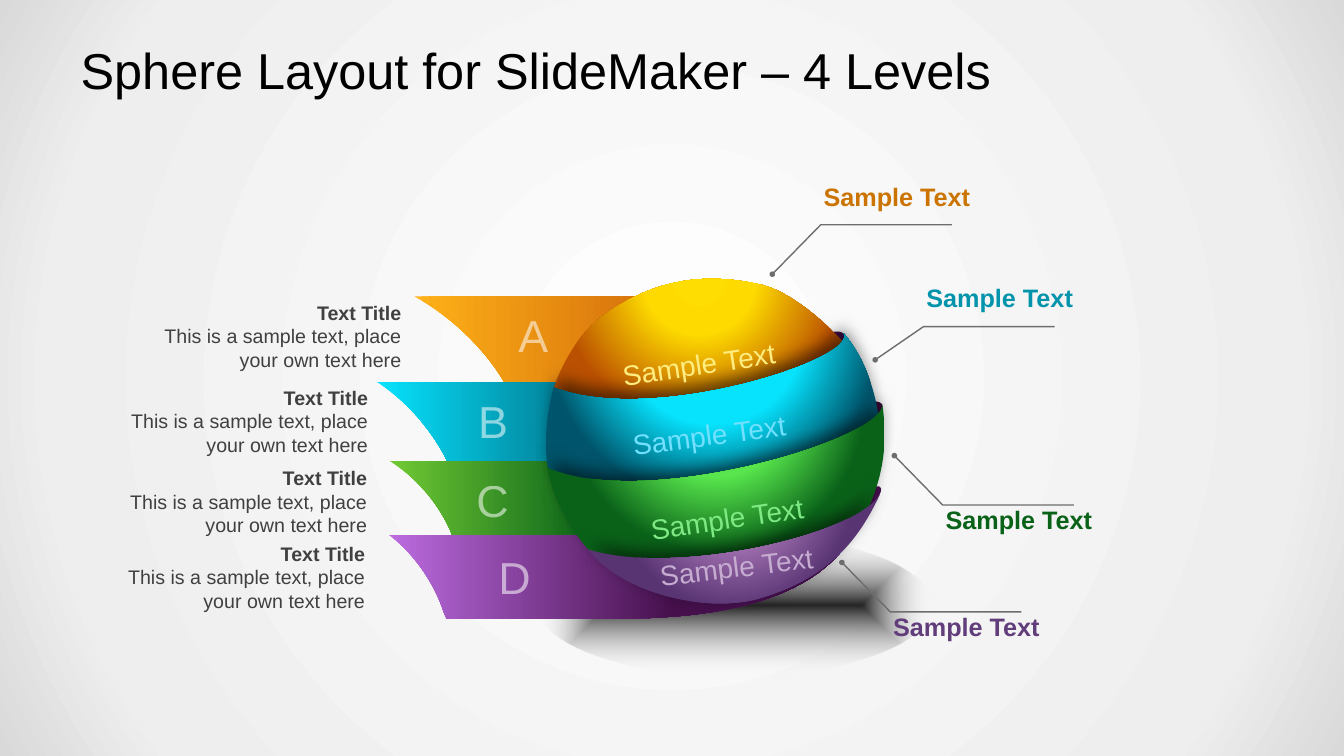
import pptx
import pptx.util
from lxml import etree
from pptx.dml.color import RGBColor
from pptx.enum.shapes import MSO_SHAPE
from pptx.enum.text import MSO_ANCHOR, MSO_AUTO_SIZE, PP_ALIGN
from pptx.oxml.ns import qn
from pptx.util import Inches

# Colours
WHITE, BLACK = RGBColor(0xFF, 0xFF, 0xFF), RGBColor(0, 0, 0)
PALE_GRAY, MID_GRAY = RGBColor(0xEE, 0xEE, 0xEE), RGBColor(0xD9, 0xD9, 0xD9)
SHADE, BODY = RGBColor(0x26, 0x26, 0x26), RGBColor(0x40, 0x40, 0x40)
RULE = RGBColor(0x6D, 0x6D, 0x6D)
AMBER, RUST = RGBColor(0xFE, 0xB1, 0x18), RGBColor(0xD6, 0x71, 0x0C)
CYAN, TEAL = RGBColor(0x07, 0xE3, 0xFD), RGBColor(0x02, 0x84, 0x9C)
LIME, FOREST = RGBColor(0x71, 0xCA, 0x34), RGBColor(0x0A, 0x62, 0x19)
ORCHID, PLUM = RGBColor(0xBB, 0x6B, 0xDF), RGBColor(0x45, 0x10, 0x4C)
YELLOW, GOLD = RGBColor(0xFE, 0xDD, 0x03), RGBColor(0xFE, 0xDA, 0x00)
BROWN, DEEP_TEAL = RGBColor(0xBA, 0x50, 0x01), RGBColor(0x00, 0x54, 0x6B)
BRIGHT_GREEN = RGBColor(0x58, 0xE5, 0x4D)
LILAC, VIOLET = RGBColor(0xDC, 0xA0, 0xE3), RGBColor(0x58, 0x34, 0x72)
FOLD_LOW, FOLD_MIDDLE = RGBColor(0x47, 0x10, 0x4F), RGBColor(0x3D, 0x08, 0x38)
FOLD_HIGH = RGBColor(0x42, 0x0C, 0x47)
ORANGE_TEXT, BLUE_TEXT = RGBColor(0xCB, 0x74, 0x01), RGBColor(0x03, 0x94, 0xAC)
PURPLE_TEXT = RGBColor(0x62, 0x3D, 0x7B)
PALE_YELLOW, PALE_BLUE = RGBColor(0xFF, 0xED, 0x81), RGBColor(0x71, 0xE1, 0xFF)
PALE_GREEN, PALE_PURPLE = RGBColor(0x7F, 0xE9, 0x84), RGBColor(0xC5, 0xAC, 0xD0)

# Content
TITLE = "Sphere Layout for SlideMaker – 4 Levels"
LABEL = "Sample Text"
DESCRIPTION = ["Text Title", "This is a sample text, place your own text here"]

# Letter with its left, top and width, then description left and top
LEVELS = [("A", (5.04, 3, 0.5), (1.13, 2.93)), ("B", (4.64, 3.85, 0.5), (0.8, 3.77)),
          ("C", (4.62, 4.64, 0.53), (0.79, 4.57)), ("D", (4.84, 5.4, 0.53), (0.77, 5.32))]

# Outlines: points in inches; two numbers make a line, six a Bézier curve
FLAGS = [
    ([(4.11, 2.94), (6.47, 2.94), (6.17, 4), (5.11, 4), (5.07, 3.92),
      (4.92, 3.6, 4.58, 3.2, 4.11, 2.94)], [(0, AMBER), (100, RUST)]),
    ([(3.74, 3.79), (5.54, 3.79), (5.46, 4.73), (4.5, 4.73), (4.47, 4.65),
      (4.35, 4.37, 4.1, 4.02, 3.74, 3.79)], [(0, CYAN), (100, TEAL)]),
    ([(3.86, 4.57), (5.89, 4.57), (5.89, 5.33), (4.49, 5.33), (4.47, 5.27),
      (4.37, 5.04, 4.16, 4.75, 3.86, 4.57)], [(0, LIME), (100, FOREST)]),
    ([(3.86, 5.31), (5.99, 5.31), (7.12, 5.18, 8.05, 5.19, 8.51, 5.21),
      (8.09, 6.12, 6.67, 6.14, 5.99, 6.14), (4.43, 6.14), (4.4, 6.07),
      (4.32, 5.82, 4.13, 5.51, 3.86, 5.31)], [(0, ORCHID), (61, PLUM)]),
]
FOLDS = [
    ([(8.63, 4.84), (8.61, 4.87, 8.6, 5.07, 8.61, 5.07),
      (8.73, 4.93, 8.82, 4.77, 8.63, 4.84)], FOLD_LOW),
    ([(8.62, 3.98), (8.61, 4.01, 8.66, 4.16, 8.67, 4.17),
      (8.77, 4.06, 8.81, 3.97, 8.62, 3.98)], FOLD_MIDDLE),
    ([(8.22, 3.3), (8.21, 3.33, 8.3, 3.48, 8.32, 3.48),
      (8.41, 3.33, 8.4, 3.26, 8.22, 3.3)], FOLD_HIGH),
]
# Outline, gradient stops, shadow distance in points
BANDS = [
    ([(5.97, 3.14), (6.51, 2.75, 7.02, 2.7, 7.57, 2.83), (7.87, 2.91, 8.23, 3.24, 8.39, 3.42),
      (7.62, 3.89, 6.21, 4.21, 5.49, 3.86), (5.53, 3.72, 5.69, 3.35, 5.97, 3.14)],
     [(0, YELLOW), (35, GOLD), (90, BROWN)], None),
    ([(8.37, 3.31), (8.59, 3.57, 8.68, 3.89, 8.72, 4.16), (8.04, 4.61, 6.57, 5.07, 5.44, 4.68),
      (5.39, 4.41, 5.42, 4.13, 5.49, 3.84), (6.44, 4.23, 8.5, 3.57, 8.37, 3.31)],
     [(0, CYAN), (49, CYAN), (91, DEEP_TEAL)], 6),
    ([(5.43, 4.64), (6.42, 5.07, 8.78, 4.35, 8.75, 4.01), (8.83, 4.53, 8.69, 4.88, 8.58, 5.11),
      (7.91, 5.47, 6.71, 5.75, 5.84, 5.46), (5.73, 5.33, 5.49, 5.02, 5.43, 4.64)],
     [(0, BRIGHT_GREEN), (39, BRIGHT_GREEN), (80, FOREST)], 5),
    ([(5.83, 5.45), (6.73, 5.73, 8.56, 5.29, 8.74, 4.88), (8.52, 5.35, 8.24, 5.73, 7.52, 5.94),
      (6.97, 6.09, 6.15, 5.87, 5.83, 5.45)], [(0, LILAC), (76, VIOLET)], 5),
]
# Left, top, rotation, colour
BAND_LABELS = [(5.97, 3.6, 351.4, PALE_YELLOW), (6.07, 4.3, 352.4, PALE_BLUE),
               (6.25, 5.13, 351.4, PALE_GREEN), (6.34, 5.61, 353, PALE_PURPLE)]
# Elbow point, drop from elbow to dot, colour
CALLOUTS = [((8.14, 2.23), 0.49, ORANGE_TEXT), ((8.83, 6.07), -0.49, PURPLE_TEXT),
            ((9.35, 5.01), -0.49, FOREST), ((9.16, 3.24), 0.33, BLUE_TEXT)]
CENTRE, ABOVE = (50, 50, 50, 50), (50, -80, 50, 180)


def set_gradient(owner, fill, stops, route=None, focus=CENTRE):
    """Linear from left to right, or spreading from the focus when a route is given."""
    fill.solid()
    gradient = etree.Element(qn("a:gradFill"), rotWithShape="1")
    stop_list = etree.SubElement(gradient, qn("a:gsLst"))
    for position, color, *alpha in stops:
        stop = etree.SubElement(stop_list, qn("a:gs"), pos=str(position * 1000))
        value = etree.SubElement(stop, qn("a:srgbClr"), val=str(color))
        if alpha:
            etree.SubElement(value, qn("a:alpha"), val=str(alpha[0] * 1000))
    if route:
        spread = etree.SubElement(gradient, qn("a:path"), attrib={"path": route})
        sides = {side: str(share * 1000) for side, share in zip("ltrb", focus)}
        etree.SubElement(spread, qn("a:fillToRect"), attrib=sides)
    else:
        etree.SubElement(gradient, qn("a:lin"), ang="0", scaled="0")
    owner.replace(owner.find(qn("a:solidFill")), gradient)


def flatten(outline, steps=20):
    """Points along the outline, from which its true extent is found."""
    points = [outline[0]]
    for segment in outline[1:]:
        corners = [points[-1], segment[:2], segment[2:4], segment[4:]]
        for t in [step / steps for step in range(1, steps + 1)] if len(segment) == 6 else []:
            weights = ((1 - t) ** 3, 3 * t * (1 - t) ** 2, 3 * t * t * (1 - t), t ** 3)
            points.append(tuple(sum(w * corner[axis] for w, corner in zip(weights, corners))
                                for axis in (0, 1)))
        if len(segment) == 2:
            points.append(segment)
    return [(Inches(x), Inches(y)) for x, y in points]


def add_outline(outline, close=True):
    points = flatten(outline)
    builder = slide.shapes.build_freeform(*points[0])
    builder.add_line_segments(points[1:], close=close)
    shape = builder.convert_to_shape()
    shape.shadow.inherit = False
    shape.line.fill.background()
    # Draw each segment as one true line or curve
    drawing = shape.element.spPr.find(".//" + qn("a:pathLst"))[0]
    for line in drawing.findall(qn("a:lnTo")):
        drawing.remove(line)
    for index, segment in enumerate(outline[1:], start=1):
        part = etree.Element(qn("a:lnTo" if len(segment) == 2 else "a:cubicBezTo"))
        for x, y in zip(segment[::2], segment[1::2]):
            etree.SubElement(part, qn("a:pt"), x=str(Inches(x) - shape.left),
                             y=str(Inches(y) - shape.top))
        drawing.insert(index, part)
    return shape


def add_text(lines, left, top, width, height, size, color, align=PP_ALIGN.LEFT,
             anchor=MSO_ANCHOR.TOP, spacing=None, wrap=True, grow=True):
    box = slide.shapes.add_textbox(Inches(left), Inches(top), Inches(width), Inches(height))
    frame = box.text_frame
    frame.text = "\n".join(lines)
    frame.word_wrap = wrap
    frame.vertical_anchor = anchor
    frame.auto_size = MSO_AUTO_SIZE.SHAPE_TO_FIT_TEXT if grow else MSO_AUTO_SIZE.NONE
    for paragraph in frame.paragraphs:
        paragraph.alignment = align
        if spacing:
            paragraph.line_spacing = pptx.util.Pt(spacing)
        font = paragraph.runs[0].font
        font.name, font.size = "Arial", pptx.util.Pt(size)
        font.color.rgb = color
    return box


presentation = pptx.Presentation()
presentation.slide_width, presentation.slide_height = Inches(13.33), Inches(7.5)
slide = presentation.slides.add_slide(presentation.slide_layouts[6])

# Background and ground shade
background_fill = slide.background.fill
set_gradient(slide.element.find(".//" + qn("p:bgPr")), background_fill,
             [(0, WHITE), (81, PALE_GRAY), (100, MID_GRAY)], "circle")
ground = slide.shapes.add_shape(MSO_SHAPE.OVAL, *map(Inches, (5.33, 5.3, 3.91, 1.4)))
ground.shadow.inherit = False
ground.line.fill.background()
set_gradient(ground.element.spPr, ground.fill, [(0, SHADE), (100, WHITE, 0)], "shape")

# Flags, folds and sphere bands
for outline, stops in FLAGS:
    flag = add_outline(outline)
    set_gradient(flag.element.spPr, flag.fill, stops)
for outline, color in FOLDS:
    fold = add_outline(outline)
    fold.fill.solid()
    fold.fill.fore_color.rgb = color
for outline, stops, distance in BANDS:
    band = add_outline(outline)
    set_gradient(band.element.spPr, band.fill, stops, "circle", ABOVE)
    if distance:
        shadow = etree.SubElement(
            band.element.spPr.find(qn("a:effectLst")), qn("a:outerShdw"), sx="97000", algn="b",
            blurRad=str(pptx.util.Pt(12)), dist=str(pptx.util.Pt(distance)), dir="16200000")
        shadow_color = etree.SubElement(shadow, qn("a:srgbClr"), val=str(BLACK))
        etree.SubElement(shadow_color, qn("a:alpha"), val="55000")

# Callouts
for (x, y), drop, color in CALLOUTS:
    label = add_text([LABEL], x - 0.07, y - 0.31 if drop > 0 else y + 0.12, 1.97, 0.23, 18,
                     color, spacing=9)
    label.text_frame.paragraphs[0].runs[0].font.bold = True
    leader = add_outline([(x - 0.48, y + drop), (x, y), (x + 1.3, y)], close=False)
    leader.fill.background()
    leader.line.color.rgb = RULE
    leader.line.width = pptx.util.Pt(1)
    etree.SubElement(leader.line._ln, qn("a:headEnd"), type="oval", w="sm", len="sm")

# Band labels and title
for left, top, rotation, color in BAND_LABELS:
    label = add_text([LABEL], left, top, 1.97, 0.35, 20, color, PP_ALIGN.CENTER, spacing=9)
    label.rotation = rotation
title = add_text([TITLE], 0.67, 0.3, 12, 0.78, 36, BLACK, anchor=MSO_ANCHOR.MIDDLE, grow=False)
title.text_frame.margin_left = title.text_frame.margin_right = Inches(0.13)

# Letters and descriptions
for letter, (left, top, width), note_corner in LEVELS:
    mark = add_text([letter], left, top, width, 0.64, 32, WHITE, PP_ALIGN.CENTER,
                    MSO_ANCHOR.MIDDLE, wrap=False)
    etree.SubElement(mark.element.find(".//" + qn("a:srgbClr")), qn("a:alpha"), val="55000")
    note = add_text(DESCRIPTION, *note_corner, 2.95, 0.81, 14, BODY, PP_ALIGN.RIGHT,
                    MSO_ANCHOR.MIDDLE)
    note.text_frame.paragraphs[0].runs[0].font.bold = True

presentation.save("out.pptx")
